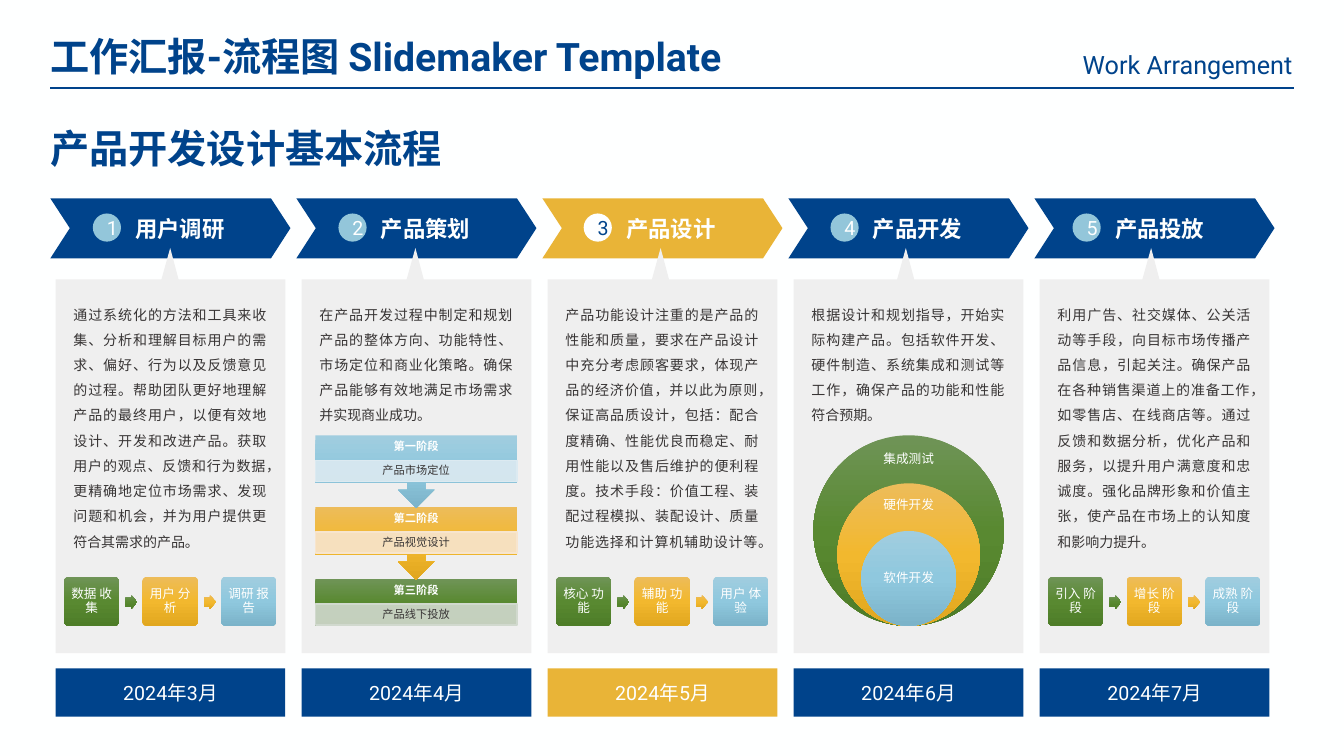
from dataclasses import dataclass

from lxml.etree import SubElement
from pptx import Presentation
from pptx.dml.color import RGBColor
from pptx.enum.shapes import MSO_CONNECTOR as Link, MSO_SHAPE as Form
from pptx.enum.text import MSO_ANCHOR as Anchor, PP_ALIGN as Align
from pptx.oxml.ns import qn
from pptx.util import Cm, Pt

COLORS = {
    "navy": "00438B", "gold": "E9B437", "sky": "93C6DA", "white": "FEFFFF",
    "panel": "EFEFEF", "ink": "383535",
    "mint": "D1D9CE", "sand": "F7E5CE", "ice": "DCEAF1",
}
SHADES = {
    "green": ("6F9457", "598931", "4E7D28"),
    "amber": ("EDBC5A", "F2B82E", "E1A71F"),
    "blue": ("A0CDDF", "8FC8DE", "7BB3C9"),
}
PITCH = 6.2


@dataclass
class Box:
    x: float
    y: float
    w: float
    h: float

    def edges(self) -> tuple:
        return Cm(self.x), Cm(self.y), Cm(self.w), Cm(self.h)


@dataclass
class Type:
    size: float
    color: str = "white"
    bold: bool = False
    align: Align = Align.CENTER
    anchor: Anchor = Anchor.MIDDLE
    lines: float = 1.0
    after: float = 5
    pad: tuple = (0.25, 0.13)


@dataclass
class Stage:
    name: str
    left: float
    body: str
    steps: tuple = ()


@dataclass
class Phase:
    name: str
    task: str
    shade: str
    tint: str


@dataclass
class Ring:
    name: str
    shade: str
    size: float
    mid: float


STAGES = [
    Stage("用户调研", 2.34, "通过系统化的方法和工具来收集、分析和理解目标用户的需求、偏好、行为以及反馈意见的过程。帮助团队更好地理解产品的最终用户，以便有效地设计、开发和改进产品。获取用户的观点、反馈和行为数据，更精确地定位市场需求、发现问题和机会，并为用户提供更符合其需求的产品。",
          ("数据 收集", "用户 分析", "调研 报告")),
    Stage("产品策划", 8.53, "在产品开发过程中制定和规划产品的整体方向、功能特性、市场定位和商业化策略。确保产品能够有效地满足市场需求并实现商业成功。"),
    Stage("产品设计", 14.71, "产品功能设计注重的是产品的性能和质量，要求在产品设计中充分考虑顾客要求，体现产品的经济价值，并以此为原则，保证高品质设计，包括：配合度精确、性能优良而稳定、耐用性能以及售后维护的便利程度。技术手段：价值工程、装配过程模拟、装配设计、质量功能选择和计算机辅助设计等。",
          ("核心 功能", "辅助 功能", "用户 体验")),
    Stage("产品开发", 20.93, "根据设计和规划指导，开始实际构建产品。包括软件开发、硬件制造、系统集成和测试等工作，确保产品的功能和性能符合预期。"),
    Stage("产品投放", 27.03, "利用广告、社交媒体、公关活动等手段，向目标市场传播产品信息，引起关注。确保产品在各种销售渠道上的准备工作，如零售店、在线商店等。通过反馈和数据分析，优化产品和服务，以提升用户满意度和忠诚度。强化品牌形象和价值主张，使产品在市场上的认知度和影响力提升。",
          ("引入 阶段", "增长 阶段", "成熟 阶段")),
]
PHASES = [
    Phase("第一阶段", "产品市场定位", "blue", "ice"),
    Phase("第二阶段", "产品视觉设计", "amber", "sand"),
    Phase("第三阶段", "产品线下投放", "green", "mint"),
]
RINGS = [
    Ring("集成测试", "green", 4.8, 11.58),
    Ring("硬件开发", "amber", 3.59, 12.74),
    Ring("软件开发", "blue", 2.39, 14.57),
]
HEAD = Type(28, "navy", True, Align.LEFT, Anchor.TOP)
SIDE = Type(18, "navy", align=Align.RIGHT, anchor=Anchor.TOP)
NAME = Type(16, bold=True, align=Align.LEFT, anchor=Anchor.TOP, pad=(0.08, 0.08))
BODY = Type(10, "ink", align=Align.JUSTIFY, anchor=Anchor.TOP, lines=1.5)
STEP = Type(9, lines=0.9, after=3, pad=(0.12, 0.1))
TITLE = Type(8, bold=True, anchor=Anchor.TOP, lines=0.9, after=3, pad=(0.15, 0.14))
TASK = Type(8, "ink", lines=0.9, after=3, pad=(0.15, 0.03))


def tone(name: str) -> RGBColor:
    return RGBColor.from_string(COLORS[name])


def write(shape, text: str, kind: Type) -> None:
    frame = shape.text_frame
    frame.word_wrap = True
    frame.vertical_anchor = kind.anchor
    frame.margin_left = frame.margin_right = Cm(kind.pad[0])
    frame.margin_top = frame.margin_bottom = Cm(kind.pad[1])
    para = frame.paragraphs[0]
    para.text = text
    para.alignment = kind.align
    para.line_spacing = kind.lines
    para.space_after = Pt(kind.after)
    font = para.font
    font.name, font.size, font.bold = "Roboto", Pt(kind.size), kind.bold
    font.color.rgb = tone(kind.color)


def label(slide, box: Box, text: str, kind: Type) -> None:
    write(slide.shapes.add_textbox(*box.edges()), text, kind)


def paint(shape, fill: str) -> None:
    shape.shadow.inherit = False
    if fill in SHADES:
        shape.fill.gradient()
        grad = shape._element.spPr.find(qn("a:gradFill"))
        for child in list(grad):
            grad.remove(child)
        stops = SubElement(grad, qn("a:gsLst"))
        for i, shade in enumerate(SHADES[fill]):
            stop = SubElement(stops, qn("a:gs"), pos=str(i * 50000))
            SubElement(stop, qn("a:srgbClr"), val=shade)
        SubElement(grad, qn("a:lin"), ang="5400000", scaled="0")
    else:
        shape.fill.solid()
        shape.fill.fore_color.rgb = tone(fill)
    shape.line.fill.background()


def draw(slide, form: Form, box: Box, fill: str, adjust: tuple = ()):
    shape = slide.shapes.add_shape(form, *box.edges())
    for i, value in enumerate(adjust):
        shape.adjustments[i] = value
    paint(shape, fill)
    return shape


def trace(slide, points: list, fill: str) -> None:
    start, *rest = [(Cm(x), Cm(y)) for x, y in points]
    path = slide.shapes.build_freeform(*start)
    path.add_line_segments(rest, close=True)
    paint(path.convert_to_shape(), fill)


def add_stage(slide, i: int, stage: Stage) -> None:
    live = i == 2
    fill = "gold" if live else "navy"
    x = 1.27 + PITCH * i
    trace(slide, [(x, 5), (x + 5.56, 5), (x + 6.05, 5.75), (x + 5.56, 6.51),
                  (x, 6.51), (x + 0.49, 5.75)], fill)
    x, tip = 1.4 + PITCH * i, 4.29 + 6.18 * i
    trace(slide, [(tip, 6.25), (tip + 0.21, 7.04), (x + 5.79, 7.04), (x + 5.79, 16.46),
                  (x, 16.46), (x, 7.04), (tip - 0.22, 7.04)], "panel")
    badge = draw(slide, Form.OVAL, Box(stage.left, 5.38, 0.71, 0.71), "white" if live else "sky")
    write(badge, str(i + 1), Type(14, "navy" if live else "white"))
    label(slide, Box(stage.left + 0.99, 5.33, 3.99, 0.84), stage.name, NAME)
    label(slide, Box(x + 0.2, 7.37, 5.36, 6.6), stage.body, BODY)
    date = draw(slide, Form.RECTANGLE, Box(x, 16.84, 5.79, 1.22), fill)
    write(date, f"2024年{i + 3}月", Type(14))
    for j, (step, shade) in enumerate(zip(stage.steps, SHADES)):
        left = x + 0.21 + 1.98 * j
        card = draw(slide, Form.ROUNDED_RECTANGLE, Box(left, 14.53, 1.4, 1.24), shade, (0.1,))
        write(card, step, STEP)
        if j < len(stage.steps) - 1:
            draw(slide, Form.RIGHT_ARROW, Box(left + 1.55, 14.99, 0.3, 0.36), shade, (0.6, 0.5))


def add_phase(slide, i: int, phase: Phase) -> None:
    top, last = 10.97 + 1.81 * i, i == len(PHASES) - 1
    form = Form.RECTANGLE if last else Form.DOWN_ARROW_CALLOUT
    block = draw(slide, form, Box(7.95, top, 5.08, 1.19 if last else 1.83), phase.shade)
    write(block, phase.name, TITLE)
    band = draw(slide, Form.RECTANGLE, Box(7.95, top + 0.63, 5.08, 0.53), phase.tint)
    color = band._element.spPr.find(qn("a:solidFill"))[0]
    SubElement(color, qn("a:alpha"), val="90000")
    band.line.color.rgb = tone(phase.tint)
    band.line.width = Pt(1)
    write(band, phase.task, TASK)


def add_ring(slide, ring: Ring) -> None:
    mid = 22.9
    draw(slide, Form.OVAL, Box(mid - ring.size / 2, 15.77 - ring.size, ring.size, ring.size), ring.shade)
    label(slide, Box(mid - 0.9, ring.mid - 0.35, 1.8, 0.7), ring.name, STEP)


def main() -> None:
    deck = Presentation()
    deck.slide_width, deck.slide_height = Cm(33.87), Cm(19.05)
    slide = deck.slides.add_slide(deck.slide_layouts[6])
    slide.background.fill.solid()
    slide.background.fill.fore_color.rgb = tone("white")
    label(slide, Box(1.02, 0.69, 20, 1.45), "工作汇报-流程图 Slidemaker Template", HEAD)
    label(slide, Box(26.39, 1.12, 6.43, 1.02), "Work Arrangement", SIDE)
    label(slide, Box(1.02, 3, 12, 1.45), "产品开发设计基本流程", HEAD)
    rule = slide.shapes.add_connector(Link.STRAIGHT, Cm(1.27), Cm(2.21), Cm(32.61), Cm(2.21))
    rule.line.color.rgb = tone("navy")
    rule.line.width = Pt(1.5)
    SubElement(rule._element.spPr, qn("a:effectLst"))
    for i, stage in enumerate(STAGES):
        add_stage(slide, i, stage)
    for i, phase in reversed(list(enumerate(PHASES))):
        add_phase(slide, i, phase)
    for ring in RINGS:
        add_ring(slide, ring)
    deck.save("out.pptx")


if __name__ == "__main__":
    main()
